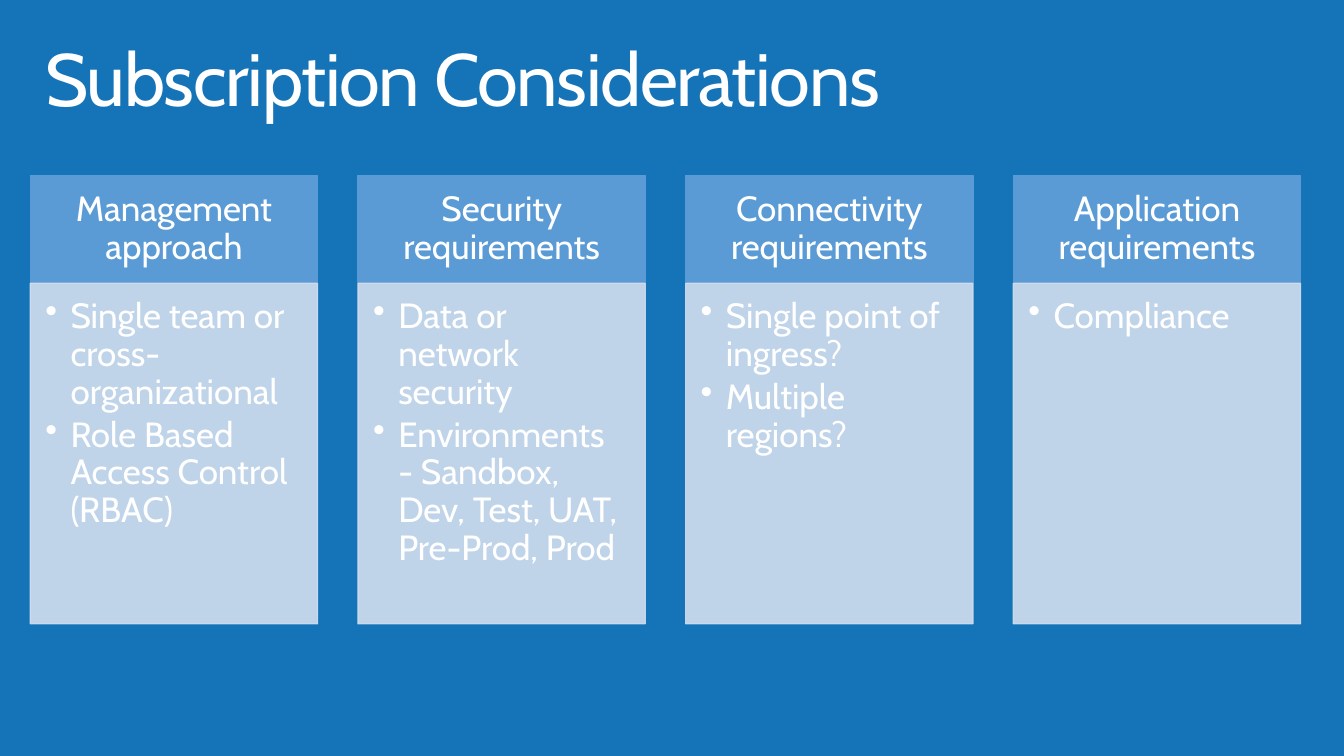
from dataclasses import dataclass

from lxml import etree
from pptx import Presentation
from pptx.dml.color import RGBColor
from pptx.enum.shapes import MSO_SHAPE
from pptx.enum.text import MSO_ANCHOR, PP_ALIGN
from pptx.oxml.ns import qn
from pptx.util import Inches, Pt

RECTANGLE = MSO_SHAPE.RECTANGLE
TOP, MIDDLE = MSO_ANCHOR.TOP, MSO_ANCHOR.MIDDLE
LEFT, CENTER = PP_ALIGN.LEFT, PP_ALIGN.CENTER

COLUMNS = [
    ("Management approach",
     ["Single team or cross-organizational", "Role Based Access Control (RBAC)"]),
    ("Security requirements",
     ["Data or network security",
      "Environments - Sandbox, Dev, Test, UAT, Pre-Prod, Prod"]),
    ("Connectivity requirements",
     ["Single point of ingress?", "Multiple regions?"]),
    ("Application requirements", ["Compliance"]),
]
FIRST_LEFT, COLUMN_WIDTH, COLUMN_GAP = 0.3, 2.85, 0.4
HEADER_TOP, HEADER_HEIGHT = 1.74, 1.06
BODY_TOP, BODY_HEIGHT = 2.81, 3.38


@dataclass(frozen=True)
class Theme:
    background: RGBColor = RGBColor.from_string("1574B8")
    header: RGBColor = RGBColor.from_string("5B9BD5")
    body: RGBColor = RGBColor.from_string("D2DEEF")
    text: RGBColor = RGBColor.from_string("FFFFFF")
    font: str = "Cabin"
    title_size: float = 52.9
    text_size: float = 25
    outline: float = 0.85
    body_opacity: int = 90
    line_spacing: float = 0.9
    bullet_spacing: float = 3.75
    bullet_indent: float = 0.25


class SlideBuilder:
    def __init__(self, slide, theme):
        self.slide = slide
        self.theme = theme
        fill = slide.background.fill
        fill.solid()
        fill.fore_color.rgb = theme.background

    def frame(self, shape, insets, anchor):
        """Set wrapping, anchor and insets (left, top, right, bottom)."""
        frame = shape.text_frame
        frame.word_wrap = True
        frame.vertical_anchor = anchor
        (frame.margin_left, frame.margin_top,
         frame.margin_right, frame.margin_bottom) = map(Inches, insets)
        return frame

    def add_text(self, paragraph, text, size, alignment):
        paragraph.alignment = alignment
        paragraph.line_spacing = self.theme.line_spacing
        run = paragraph.add_run()
        run.text = text
        run.font.name = self.theme.font
        run.font.size = Pt(size)
        run.font.color.rgb = self.theme.text
        return run

    def title(self, text, *box):
        shape = self.slide.shapes.add_textbox(*map(Inches, box))
        frame = self.frame(shape, (0.16, 0.1, 0.16, 0.1), TOP)
        run = self.add_text(frame.paragraphs[0], text, self.theme.title_size, LEFT)
        run._r.get_or_add_rPr().set("spc", "-100")

    def panel(self, color, opacity, *box):
        shape = self.slide.shapes.add_shape(RECTANGLE, *map(Inches, box))
        shape.shadow.inherit = False
        shape.line.width = Pt(self.theme.outline)
        for fill in (shape.fill, shape.line.fill):
            fill.solid()
            fill.fore_color.rgb = color
        if opacity < 100:
            for element in shape._element.spPr.iter(qn("a:srgbClr")):
                alpha = etree.SubElement(element, qn("a:alpha"))
                alpha.set("val", str(opacity * 1000))
        return shape

    def header(self, text, *box):
        shape = self.panel(self.theme.header, 100, *box)
        frame = self.frame(shape, (0.19, 0.11, 0.19, 0.11), MIDDLE)
        self.add_text(frame.paragraphs[0], text, self.theme.text_size, CENTER)

    def bullet_panel(self, items, *box):
        theme = self.theme
        shape = self.panel(theme.body, theme.body_opacity, *box)
        frame = self.frame(shape, (0.15, 0.15, 0.19, 0.22), TOP)
        for index, item in enumerate(items):
            paragraph = frame.add_paragraph() if index else frame.paragraphs[0]
            self.add_text(paragraph, item, theme.text_size, LEFT)
            paragraph.level = 1
            paragraph.space_after = Pt(theme.bullet_spacing)
            properties = paragraph._p.get_or_add_pPr()
            properties.set("marL", str(Inches(theme.bullet_indent)))
            properties.set("indent", str(-Inches(theme.bullet_indent)))
            etree.SubElement(properties, qn("a:buChar")).set("char", "•")


def main():
    presentation = Presentation()
    presentation.slide_width = Inches(13.33)
    presentation.slide_height = Inches(7.5)
    slide = presentation.slides.add_slide(presentation.slide_layouts[6])
    builder = SlideBuilder(slide, Theme())

    builder.title("Subscription Considerations", 0.29, 0.32, 12.62, 0.98)
    for index, (heading, items) in enumerate(COLUMNS):
        left = FIRST_LEFT + index * (COLUMN_WIDTH + COLUMN_GAP)
        builder.header(heading, left, HEADER_TOP, COLUMN_WIDTH, HEADER_HEIGHT)
        builder.bullet_panel(items, left, BODY_TOP, COLUMN_WIDTH, BODY_HEIGHT)

    presentation.save("out.pptx")


if __name__ == "__main__":
    main()
